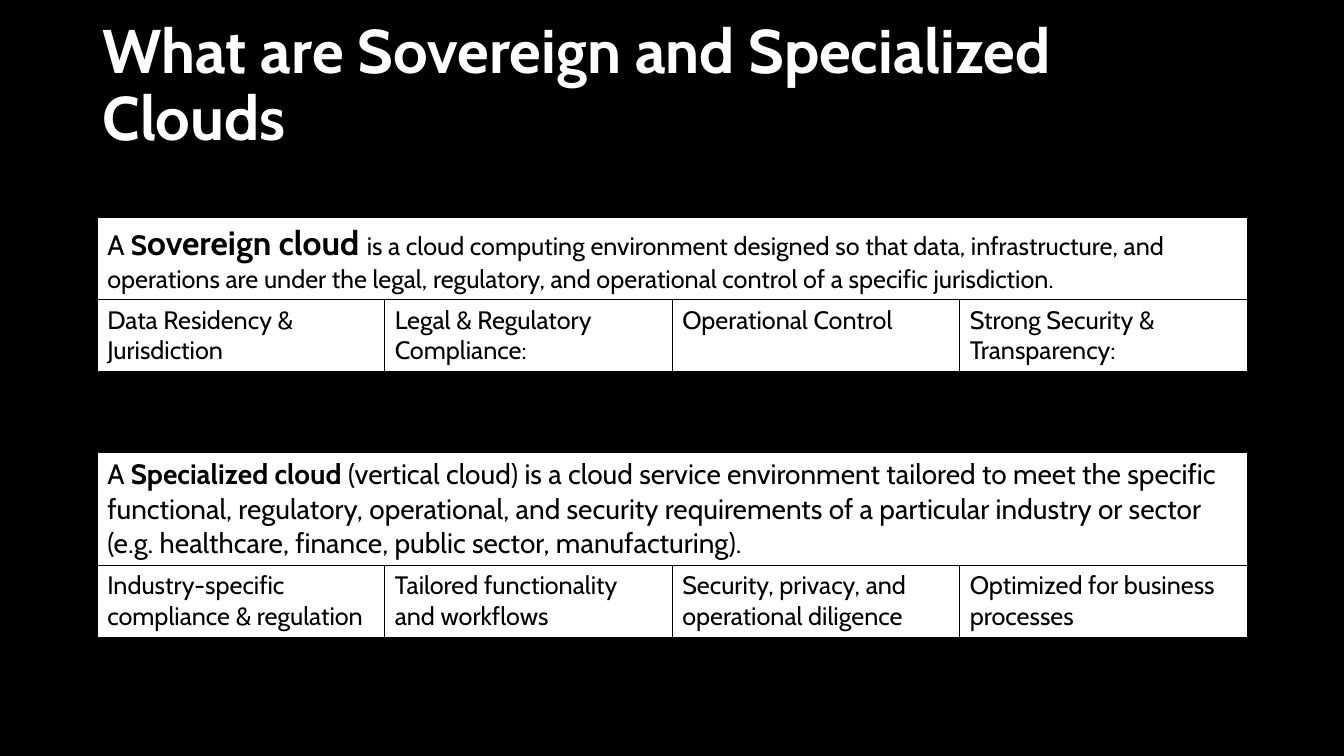
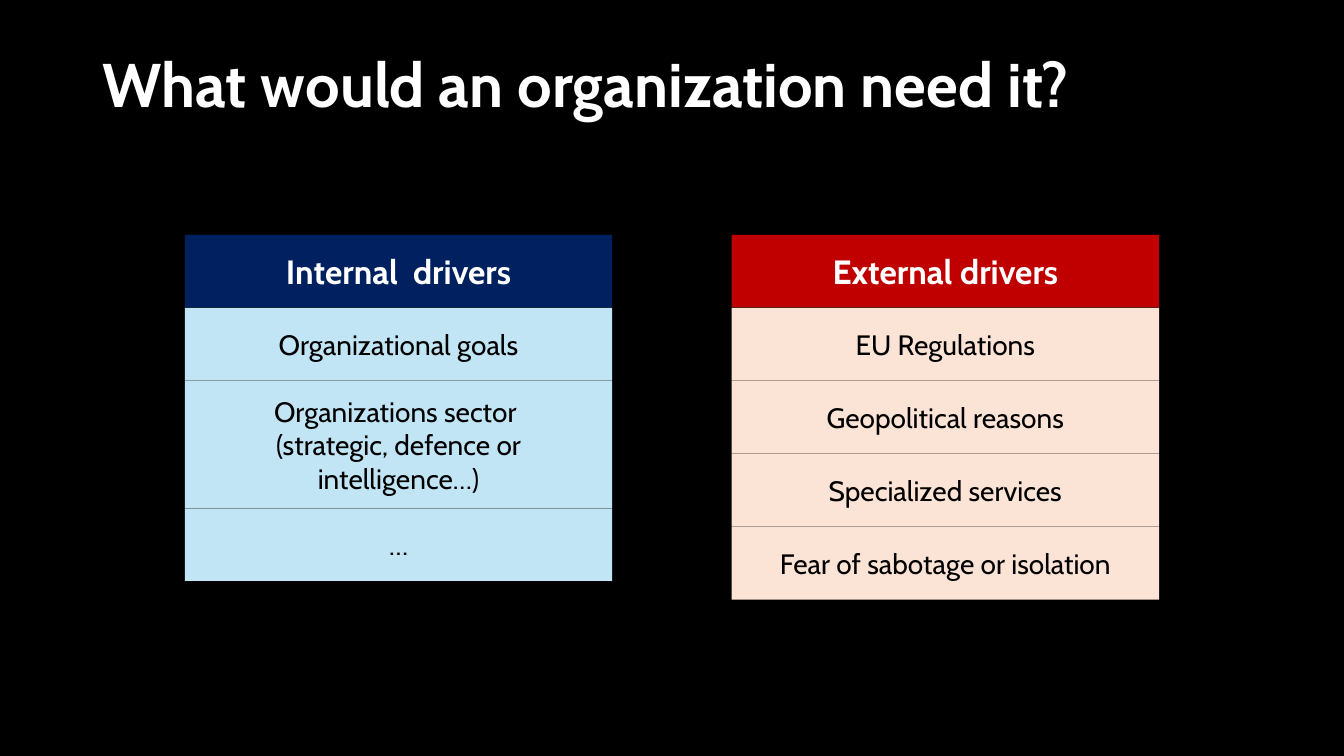
from lxml import etree
from pptx import Presentation
from pptx.dml.color import RGBColor
from pptx.enum.shapes import MSO_SHAPE
from pptx.enum.text import MSO_ANCHOR, MSO_AUTO_SIZE, PP_ALIGN
from pptx.oxml.ns import qn
from pptx.util import Cm, Pt

BLACK = RGBColor(0x00, 0x00, 0x00)
WHITE = RGBColor(0xFF, 0xFF, 0xFF)
NAVY = RGBColor(0x00, 0x20, 0x60)
SKY = RGBColor(0xC1, 0xE5, 0xF5)
RED = RGBColor(0xC0, 0x00, 0x00)
PEACH = RGBColor(0xFB, 0xE3, 0xD6)

RECTANGLE = MSO_SHAPE.RECTANGLE
MIDDLE = MSO_ANCHOR.MIDDLE
NO_AUTOFIT = MSO_AUTO_SIZE.NONE
LEFT, CENTER = PP_ALIGN.LEFT, PP_ALIGN.CENTER

FONT = "Cabin"
TITLE_ONLY = 5
TITLE_BOX = Cm(2.33), Cm(1.01), Cm(29.21), Cm(2.37)
TABLE_LEFT, TABLE_WIDTH = Cm(2.45), Cm(28.98)
FEATURE_HEIGHT = Cm(1.78)
DRIVER_TOP, DRIVER_WIDTH = Cm(5.92), Cm(10.77)
DRIVER_HEIGHT, SEAM = Cm(1.83), Cm(0.01)


def add_run(paragraph, text, size, color=BLACK, bold=False):
    """Append one formatted run to a paragraph."""
    run = paragraph.add_run()
    run.text = text
    run.font.name = FONT
    run.font.size = Pt(size)
    run.font.bold = bold
    run.font.color.rgb = color


def add_titled_slide(prs, title):
    """Add a title-only slide with the shared title style."""
    slide = prs.slides.add_slide(prs.slide_layouts[TITLE_ONLY])
    heading = slide.shapes.title
    heading.left, heading.top, heading.width, heading.height = TITLE_BOX
    frame = heading.text_frame
    frame.auto_size = NO_AUTOFIT
    frame.word_wrap = True
    frame.vertical_anchor = MIDDLE
    paragraph = frame.paragraphs[0]
    paragraph.alignment = LEFT
    paragraph.line_spacing = 0.9
    add_run(paragraph, title, 44, WHITE, True)
    return slide


def style_cell(cell):
    """Give a cell thin black borders and a white fill."""
    properties = cell._tc.get_or_add_tcPr()
    for side in ("lnL", "lnR", "lnT", "lnB"):
        border = etree.SubElement(properties, qn(f"a:{side}"), w=str(Pt(1)))
        fill = etree.SubElement(border, qn("a:solidFill"))
        etree.SubElement(fill, qn("a:srgbClr"), val=str(BLACK))
    cell.fill.solid()
    cell.fill.fore_color.rgb = WHITE


def add_definition(slide, top, definition_height, definition, features):
    """Add a table with a definition spanning a row of features."""
    table = slide.shapes.add_table(
        2, len(features), TABLE_LEFT, top, TABLE_WIDTH, definition_height + FEATURE_HEIGHT
    ).table
    table.first_row = table.horz_banding = False
    table.rows[0].height = definition_height
    table.rows[1].height = FEATURE_HEIGHT
    for cell in table.iter_cells():
        style_cell(cell)
    table.cell(0, 0).merge(table.cell(0, len(features) - 1))
    sentence = table.cell(0, 0).text_frame.paragraphs[0]
    for text, size, bold in definition:
        add_run(sentence, text, size, bold=bold)
    for column, feature in enumerate(features):
        add_run(table.cell(1, column).text_frame.paragraphs[0], feature, 18)


def add_driver(slide, left, top, height, lines, fill, size, color, bold):
    """Add one block of a driver column."""
    block = slide.shapes.add_shape(RECTANGLE, left, top, DRIVER_WIDTH, height)
    block.shadow.inherit = False
    block.fill.solid()
    block.fill.fore_color.rgb = fill
    block.line.fill.background()
    frame = block.text_frame
    frame.word_wrap = True
    frame.vertical_anchor = MIDDLE
    for index, line in enumerate(lines):
        paragraph = frame.add_paragraph() if index else frame.paragraphs[0]
        paragraph.alignment = CENTER
        add_run(paragraph, line, size, color, bold)


def add_driver_column(slide, left, heading, drivers, heading_fill, driver_fill):
    """Stack a heading and its drivers downwards."""
    add_driver(slide, left, DRIVER_TOP, DRIVER_HEIGHT, [heading], heading_fill, 24, WHITE, True)
    top = DRIVER_TOP + DRIVER_HEIGHT + SEAM
    for lines, height in drivers:
        add_driver(slide, left, top, height, lines, driver_fill, 20, BLACK, False)
        top += height + SEAM


def build_definitions(prs):
    """Build the slide that defines both kinds of cloud."""
    slide = add_titled_slide(prs, "What are Sovereign and Specialized Clouds")
    add_definition(
        slide, Cm(5.49), Cm(2.06),
        [
            ("A ", 20, False),
            ("S", 20, True),
            ("overeign cloud ", 24, True),
            ("is a cloud computing environment designed so that data, infrastructure, "
             "and operations are under the legal, regulatory, and operational control "
             "of a specific jurisdiction.", 18, False),
        ],
        ["Data Residency & Jurisdiction", "Legal & Regulatory Compliance:",
         "Operational Control", "Strong Security & Transparency:"],
    )
    add_definition(
        slide, Cm(11.41), Cm(2.84),
        [
            ("A ", 20, False),
            ("Specialized cloud ", 20, True),
            ("(vertical cloud) is a cloud service environment tailored to meet the "
             "specific functional, regulatory, operational, and security requirements "
             "of a particular industry or sector (e.g. healthcare, finance, public "
             "sector, manufacturing).", 20, False),
        ],
        ["Industry-specific compliance & regulation", "Tailored functionality and workflows",
         "Security, privacy, and operational diligence", "Optimized for business processes"],
    )


def build_drivers(prs):
    """Build the slide that sets internal beside external drivers."""
    slide = add_titled_slide(prs, "What would an organization need it?")
    internal = [
        (["Organizational goals"], DRIVER_HEIGHT),
        (["Organizations sector ", "(strategic, defence or intelligence…)"], Cm(3.2)),
        (["…"], DRIVER_HEIGHT),
    ]
    external = [
        ([reason], DRIVER_HEIGHT)
        for reason in ("EU Regulations", "Geopolitical reasons",
                       "Specialized services", "Fear of sabotage or isolation")
    ]
    add_driver_column(slide, Cm(4.66), "Internal  drivers", internal, NAVY, SKY)
    add_driver_column(slide, Cm(18.44), "External drivers", external, RED, PEACH)


def main():
    """Build and save the presentation."""
    prs = Presentation()
    prs.slide_width, prs.slide_height = Cm(33.87), Cm(19.05)
    backdrop = prs.slide_master.background.fill
    backdrop.solid()
    backdrop.fore_color.rgb = BLACK
    build_definitions(prs)
    build_drivers(prs)
    prs.save("out.pptx")


if __name__ == "__main__":
    main()
